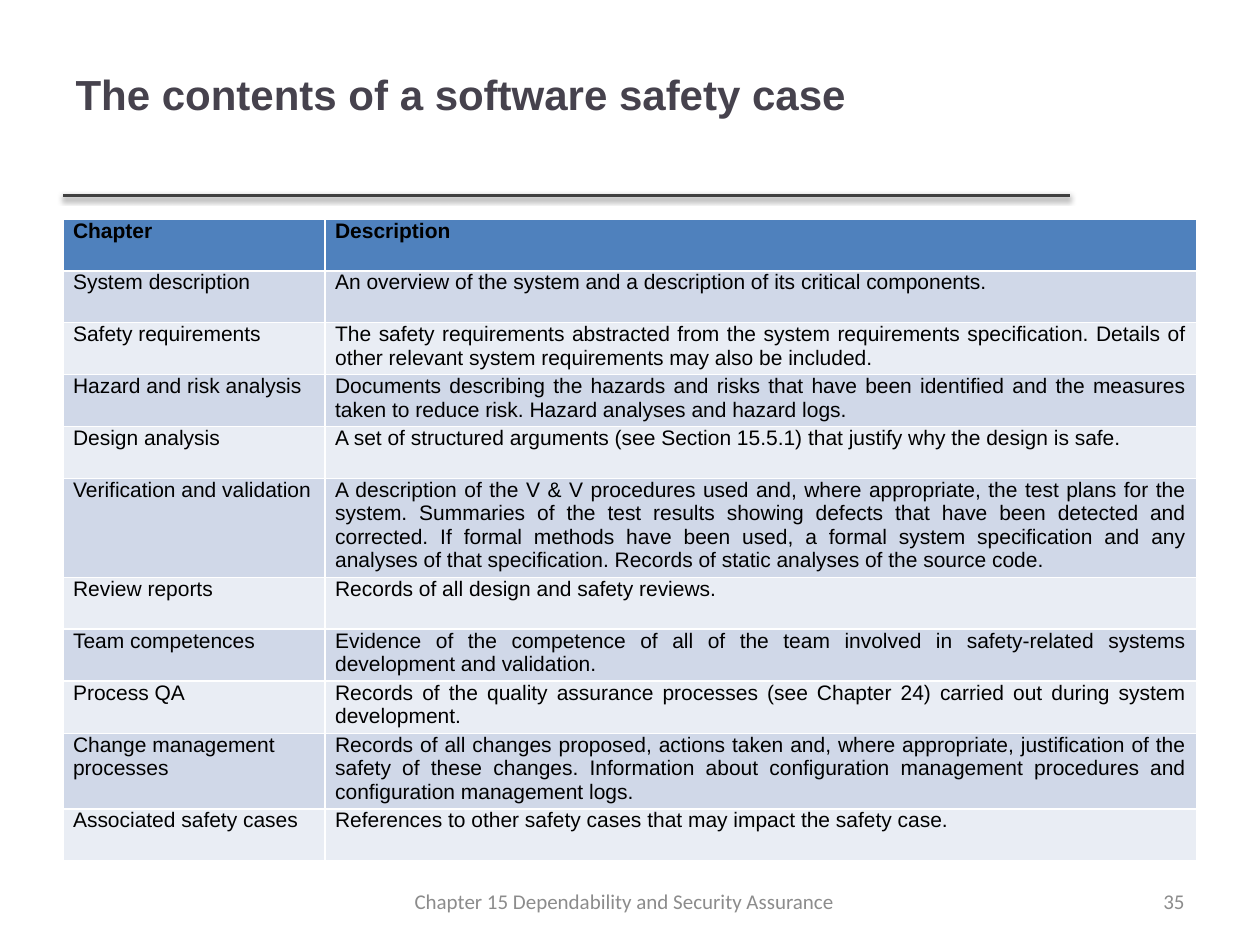
from lxml import etree
from pptx import Presentation
from pptx.dml.color import RGBColor
from pptx.enum.shapes import MSO_CONNECTOR
from pptx.enum.text import MSO_ANCHOR, PP_ALIGN
from pptx.oxml import parse_xml
from pptx.oxml.ns import nsdecls
from pptx.util import Inches, Pt

LEFT, CENTER, RIGHT, JUSTIFY = PP_ALIGN.LEFT, PP_ALIGN.CENTER, PP_ALIGN.RIGHT, PP_ALIGN.JUSTIFY
TOP, MIDDLE = MSO_ANCHOR.TOP, MSO_ANCHOR.MIDDLE
STRAIGHT = MSO_CONNECTOR.STRAIGHT

COLORS = {
    "title": "46424D",
    "rule": "404040",
    "text": "000000",
    "footer": "8C8C8C",
    "header": "4F81BD",
    "odd": "D0D8E8",
    "even": "E9EDF4",
}

TITLE = "The contents of a software safety case"
ROWS = [
    ("Chapter", "Description"),
    ("System description",
     "An overview of the system and a description of its critical components."),
    ("Safety requirements",
     "The safety requirements abstracted from the system requirements specification. "
     "Details of other relevant system requirements may also be included."),
    ("Hazard and risk analysis",
     "Documents describing the hazards and risks that have been identified and the "
     "measures taken to reduce risk. Hazard analyses and hazard logs."),
    ("Design analysis",
     "A set of structured arguments (see Section 15.5.1) that justify why the design is safe."),
    ("Verification and validation",
     "A description of the V & V procedures used and, where appropriate, the test plans "
     "for the system. Summaries of the test results showing defects that have been "
     "detected and corrected. If formal methods have been used, a formal system "
     "specification and any analyses of that specification. Records of static analyses "
     "of the source code."),
    ("Review reports", "Records of all design and safety reviews."),
    ("Team competences",
     "Evidence of the competence of all of the team involved in safety-related systems "
     "development and validation."),
    ("Process QA",
     "Records of the quality assurance processes (see Chapter 24) carried out during "
     "system development."),
    ("Change management processes",
     "Records of all changes proposed, actions taken and, where appropriate, "
     "justification of the safety of these changes. Information about configuration "
     "management procedures and configuration management logs."),
    ("Associated safety cases",
     "References to other safety cases that may impact the safety case."),
]
COL_WIDTHS = [2.08, 6.92]
ROW_HEIGHT = 0.41
FOOTERS = [
    ("Chapter 15 Dependability and Security Assurance", 2.83, 4.25, CENTER),
    ("35", 7.17, 2.33, RIGHT),
]


def write(tf, text, size=12, font="Arial", color="text", bold=False, align=LEFT):
    tf.word_wrap = True
    p = tf.paragraphs[0]
    p.alignment = align
    r = p.add_run()
    r.text = text
    r.font.size = Pt(size)
    r.font.name = font
    r.font.bold = bold
    r.font.color.rgb = RGBColor.from_string(COLORS[color])


def add_rule(s):
    line = s.shapes.add_connector(STRAIGHT, Inches(0.5), Inches(1.55), Inches(8.49), Inches(1.55))
    line.line.width = Pt(2)
    line.line.color.rgb = RGBColor.from_string(COLORS["rule"])
    effects = parse_xml(f"<a:effectLst {nsdecls('a')}/>")
    shadow = etree.SubElement(
        effects, effects.tag.replace("effectLst", "outerShdw"),
        blurRad=str(Pt(3.1)), dist=str(Pt(1.6)), dir="5400000", rotWithShape="0")
    color = etree.SubElement(shadow, effects.tag.replace("effectLst", "srgbClr"), val="000000")
    etree.SubElement(color, effects.tag.replace("effectLst", "alpha"), val="38000")
    line._element.spPr.append(effects)


def add_contents(s):
    table = s.shapes.add_table(
        len(ROWS), len(COL_WIDTHS), Inches(0.5), Inches(1.74),
        Inches(sum(COL_WIDTHS)), Inches(ROW_HEIGHT * len(ROWS))).table
    for column, width in zip(table.columns, COL_WIDTHS):
        column.width = Inches(width)
    for i, row in enumerate(ROWS):
        table.rows[i].height = Inches(ROW_HEIGHT)
        fill = "header" if i == 0 else "odd" if i % 2 else "even"
        for j, text in enumerate(row):
            cell = table.cell(i, j)
            cell.fill.solid()
            cell.fill.fore_color.rgb = RGBColor.from_string(COLORS[fill])
            cell.margin_left = cell.margin_right = Inches(0.08)
            cell.margin_top, cell.margin_bottom = 0, Inches(0.04)
            cell.vertical_anchor = TOP
            write(cell.text_frame, text, bold=i == 0,
                  align=JUSTIFY if i == 0 or j == 1 else LEFT)


def main():
    prs = Presentation()
    prs.slide_width, prs.slide_height = Inches(10), Inches(7.5)
    s = prs.slides.add_slide(prs.slide_layouts[5])
    add_rule(s)

    title = s.shapes.title
    title.left, title.top, title.width, title.height = map(Inches, (0.5, 0.12, 9, 1.25))
    title.text_frame.vertical_anchor = MIDDLE
    write(title.text_frame, TITLE, size=24, color="title", bold=True)

    add_contents(s)

    for text, left, width, align in FOOTERS:
        sp = s.shapes.add_textbox(Inches(left), Inches(6.95), Inches(width), Inches(0.4))
        sp.text_frame.vertical_anchor = MIDDLE
        write(sp.text_frame, text, font="Calibri", color="footer", align=align)

    prs.save("out.pptx")


if __name__ == "__main__":
    main()
